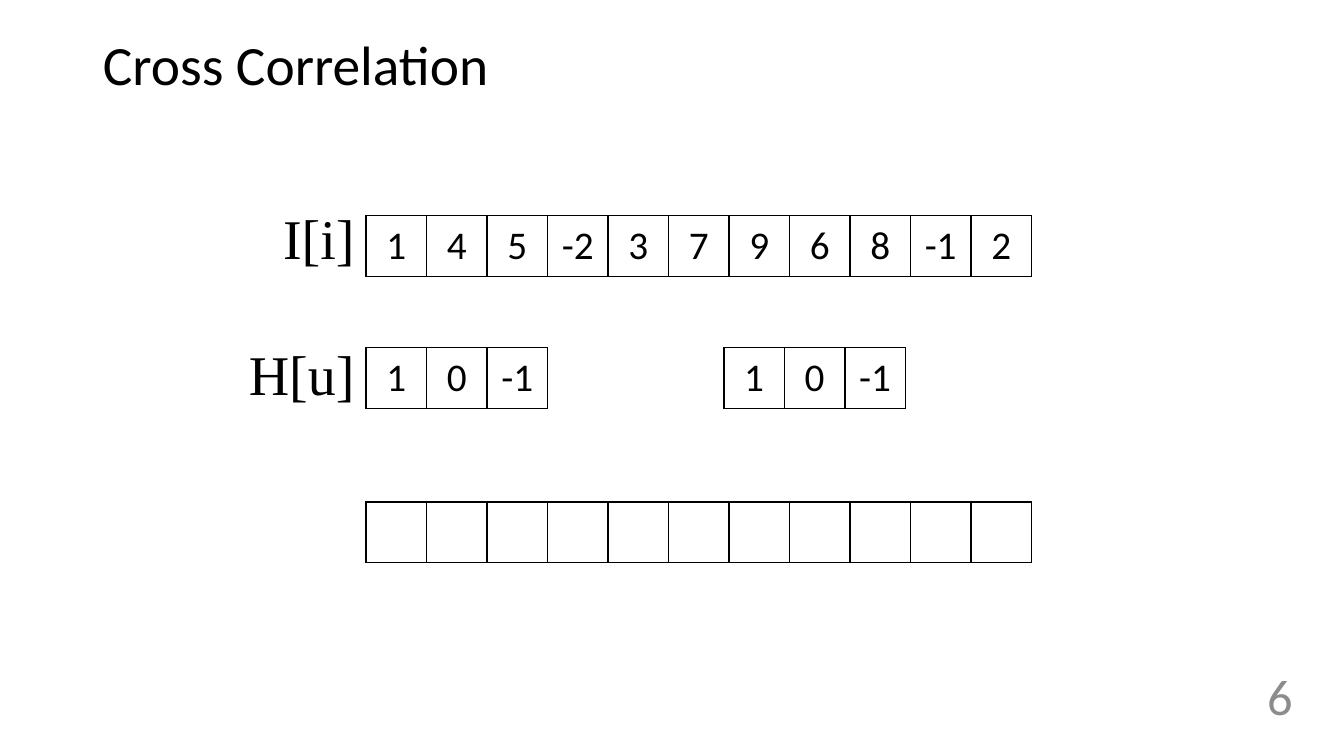
from lxml import etree
from pptx import Presentation
from pptx import util as u
from pptx.dml.color import RGBColor
from pptx.enum import text
from pptx.oxml import ns

# Content
TITLE = "Cross Correlation"
PAGE = "6"
SIGNAL = [1, 4, 5, -2, 3, 7, 9, 6, 8, -1, 2]
KERNEL = [1, 0, -1]
BLANK = [""] * len(SIGNAL)
HEX = {"ink": "000000", "page": "8C8C8C"}
SANS, SERIF = "Calibri", "Times New Roman"

# Layout: square cells, arrays as (values, left, top)
CELL = 0.6
LEFT = 3.63
ROWS = {"signal": 2.14, "kernel": 3.45, "result": 4.98}
ARRAYS = [
    (SIGNAL, LEFT, ROWS["signal"]),
    (KERNEL, LEFT, ROWS["kernel"]),
    (KERNEL, 7.18, ROWS["kernel"]),
    (BLANK, LEFT, ROWS["result"]),
]
# Labels end where the arrays start: (words, width, top)
LABELS = [("I[i]", 0.92, 1.97), ("H[u]", 1.26, 3.32)]

deck = Presentation()
deck.slide_width, deck.slide_height = u.Inches(13.33), u.Inches(7.5)
slide = deck.slides.add_slide(deck.slide_layouts[5])


def write(frame, words, size, font=SANS, color="ink", align=text.PP_ALIGN.LEFT):
    frame.text = str(words)
    para = frame.paragraphs[0]
    para.alignment = align
    para.font.size = u.Pt(size)
    for run in para.runs:
        run.font.size = u.Pt(size)
        run.font.name = font
        run.font.color.rgb = RGBColor.from_string(HEX[color])


def add_box(left, top, width, height):
    return slide.shapes.add_textbox(*map(u.Inches, (left, top, width, height)))


def rule(cell):
    props = cell._tc.get_or_add_tcPr()
    for i, side in enumerate(("a:lnL", "a:lnR", "a:lnT", "a:lnB")):
        line = etree.Element(ns.qn(side), w=str(u.Pt(1)))
        fill = etree.SubElement(line, ns.qn("a:solidFill"))
        etree.SubElement(fill, ns.qn("a:srgbClr"), val=HEX["ink"])
        props.insert(i, line)


def add_array(values, left, top):
    size = u.Inches(CELL)
    table = slide.shapes.add_table(
        1, len(values), u.Inches(left), u.Inches(top), size * len(values), size
    ).table
    table.first_row = table.horz_banding = False
    for col, value in enumerate(values):
        table.columns[col].width = size
        cell = table.cell(0, col)
        cell.vertical_anchor = text.MSO_ANCHOR.MIDDLE
        cell.fill.background()
        write(cell.text_frame, value, 28, align=text.PP_ALIGN.CENTER)
        rule(cell)


# Title
title = slide.shapes.title
title.left, title.top = u.Inches(0.92), u.Inches(0.4)
title.width, title.height = u.Inches(11.5), u.Inches(0.55)
frame = title.text_frame
write(frame, TITLE, 39.6)
frame.paragraphs[0].line_spacing = 0.9
frame.vertical_anchor = text.MSO_ANCHOR.MIDDLE
frame.auto_size = text.MSO_AUTO_SIZE.NONE

# Arrays and their labels
for array in ARRAYS:
    add_array(*array)
for words, width, top in LABELS:
    frame = add_box(LEFT - width, top, width, 0.77).text_frame
    frame.word_wrap = False
    frame.auto_size = text.MSO_AUTO_SIZE.SHAPE_TO_FIT_TEXT
    write(frame, words, 40, SERIF)

# Page number
frame = add_box(11.67, 6.47, 1.25, 0.86).text_frame
frame.word_wrap = True
frame.vertical_anchor = text.MSO_ANCHOR.MIDDLE
write(frame, PAGE, 36, color="page", align=text.PP_ALIGN.RIGHT)

deck.save("out.pptx")
